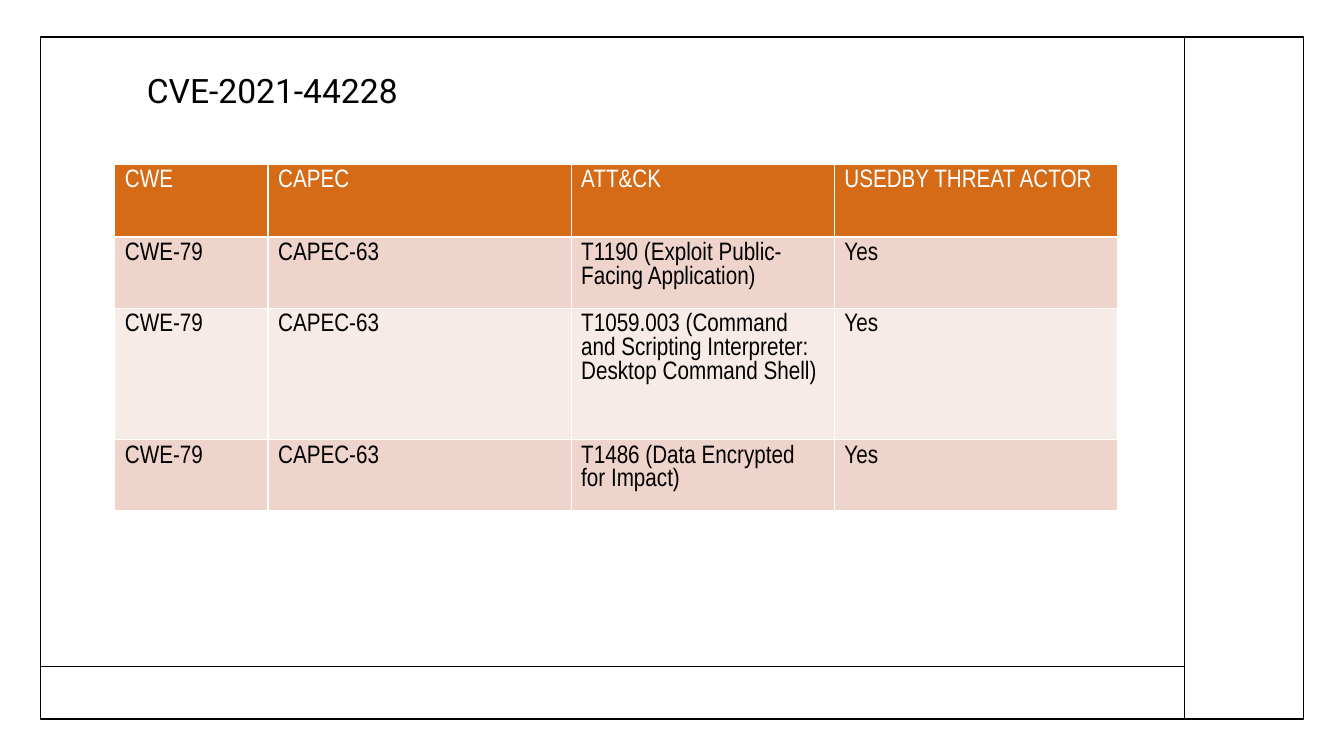
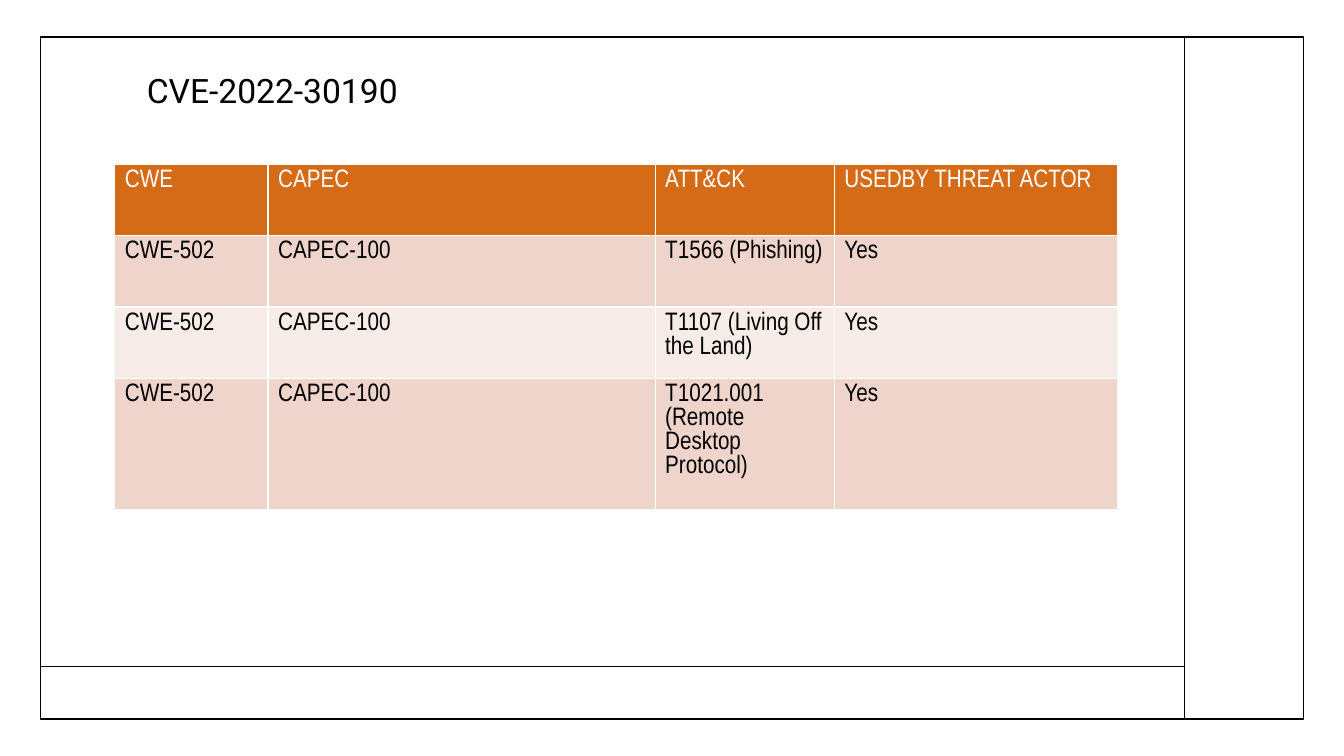
import pptx
import pptx.dml.color
import pptx.enum.shapes
import pptx.oxml
import pptx.oxml.ns
import pptx.util

Pt = pptx.util.Pt
BLACK, WHITE = "000000", "FFFFFF"
HEADER_FILL = "D56A17"
BAND_FILLS = ("EFD4CC", "F7EBE8")
TITLE_FONT, TABLE_FONT = "Roboto", "Arial Narrow"
HEADINGS = ("CWE", "CAPEC", "ATT&CK", "USEDBY THREAT ACTOR")
FRAME_LEFT, FRAME_TOP, FRAME_RIGHT, FRAME_BOTTOM = 29, 26.6, 931, 513.6
SIDE_BAND_LEFT, FOOTER_TOP = 846.3, 476
TABLE_LEFT, TABLE_TOP = 82, 117.1
CWE_WIDTH, ACTOR_WIDTH, MIDDLE_WIDTH = 109.5, 202, 404.5


def rgb(hex_color):
    return pptx.dml.color.RGBColor.from_string(hex_color)


class Deck:
    def __init__(self):
        self.presentation = pptx.Presentation()
        self.presentation.slide_width = Pt(960)
        self.presentation.slide_height = Pt(540)
        self.slide = None

    def add_slide(self):
        self.slide = self.presentation.slides.add_slide(self.presentation.slide_layouts[6])
        self.add_frame()
        self.add_rule(SIDE_BAND_LEFT, FRAME_TOP, SIDE_BAND_LEFT, FRAME_BOTTOM)
        self.add_rule(FRAME_LEFT, FOOTER_TOP, SIDE_BAND_LEFT, FOOTER_TOP)

    def add_frame(self):
        frame = self.slide.shapes.add_shape(
            pptx.enum.shapes.MSO_SHAPE.RECTANGLE, Pt(FRAME_LEFT), Pt(FRAME_TOP),
            Pt(FRAME_RIGHT - FRAME_LEFT), Pt(FRAME_BOTTOM - FRAME_TOP))
        frame.shadow.inherit = False
        frame.fill.background()
        self.style_line(frame.line)

    def add_rule(self, x1, y1, x2, y2):
        rule = self.slide.shapes.add_connector(
            pptx.enum.shapes.MSO_CONNECTOR.STRAIGHT, Pt(x1), Pt(y1), Pt(x2), Pt(y2))
        self.style_line(rule.line)
        properties = rule._element.spPr
        properties.append(properties.makeelement(pptx.oxml.ns.qn("a:effectLst"), {}))

    def style_line(self, line):
        line.color.rgb = rgb(BLACK)
        line.width = Pt(1)

    def add_run(self, paragraph, text, font, size, color):
        run = paragraph.add_run()
        run.text = text
        run.font.name = font
        run.font.size = Pt(size)
        run.font.bold = False
        run.font.color.rgb = rgb(color)

    def add_title(self, text):
        title = self.slide.shapes.add_textbox(Pt(97.8), Pt(46.6), Pt(507), Pt(36)).text_frame
        title.word_wrap = True
        self.add_run(title.paragraphs[0], text, TITLE_FONT, 24, BLACK)

    def add_table(self, rows, widths, heights):
        table = self.slide.shapes.add_table(
            len(rows), len(widths), Pt(TABLE_LEFT), Pt(TABLE_TOP),
            Pt(sum(widths)), Pt(sum(heights))).table
        for column, width in zip(table.columns, widths):
            column.width = Pt(width)
        for index, (row, height, texts) in enumerate(zip(table.rows, heights, rows)):
            row.height = Pt(height)
            fill = BAND_FILLS[(index - 1) % 2] if index else HEADER_FILL
            for cell, text in zip(row.cells, texts):
                self.fill_cell(cell, text, fill, BLACK if index else WHITE)

    def fill_cell(self, cell, text, fill, color):
        paragraph = cell.text_frame.paragraphs[0]
        paragraph.line_spacing = Pt(17)
        self.add_run(paragraph, text, TABLE_FONT, 18, color)
        properties = cell._tc.get_or_add_tcPr()
        for side in ("L", "R", "T", "B"):
            properties.append(pptx.oxml.parse_xml(
                f'<a:ln{side} {pptx.oxml.ns.nsdecls("a")} w="{Pt(1)}"><a:solidFill>'
                f'<a:srgbClr val="{WHITE}"/></a:solidFill></a:ln{side}>'))
        cell.fill.solid()
        cell.fill.fore_color.rgb = rgb(fill)

    def add_vulnerability(self, cve, cwe, capec, techniques, technique_width, heights):
        self.add_slide()
        self.add_title(cve)
        rows = [HEADINGS] + [(cwe, capec, technique, "Yes") for technique in techniques]
        widths = (CWE_WIDTH, MIDDLE_WIDTH - technique_width, technique_width, ACTOR_WIDTH)
        self.add_table(rows, widths, heights)


def main():
    deck = Deck()
    deck.add_vulnerability(
        "CVE-2021-44228", "CWE-79", "CAPEC-63",
        ("T1190 (Exploit Public-Facing Application)",
         "T1059.003 (Command and Scripting Interpreter: Desktop Command Shell)",
         "T1486 (Data Encrypted for Impact)"),
        188, (52.2, 51.1, 93.6, 51.1))
    deck.add_vulnerability(
        "CVE-2022-30190", "CWE-502", "CAPEC-100",
        ("T1566 (Phishing)",
         "T1107 (Living Off the Land)",
         "T1021.001 (Remote Desktop Protocol)"),
        128, (51.1, 51.1, 51.1, 93.6))
    deck.presentation.save("out.pptx")


if __name__ == "__main__":
    main()
